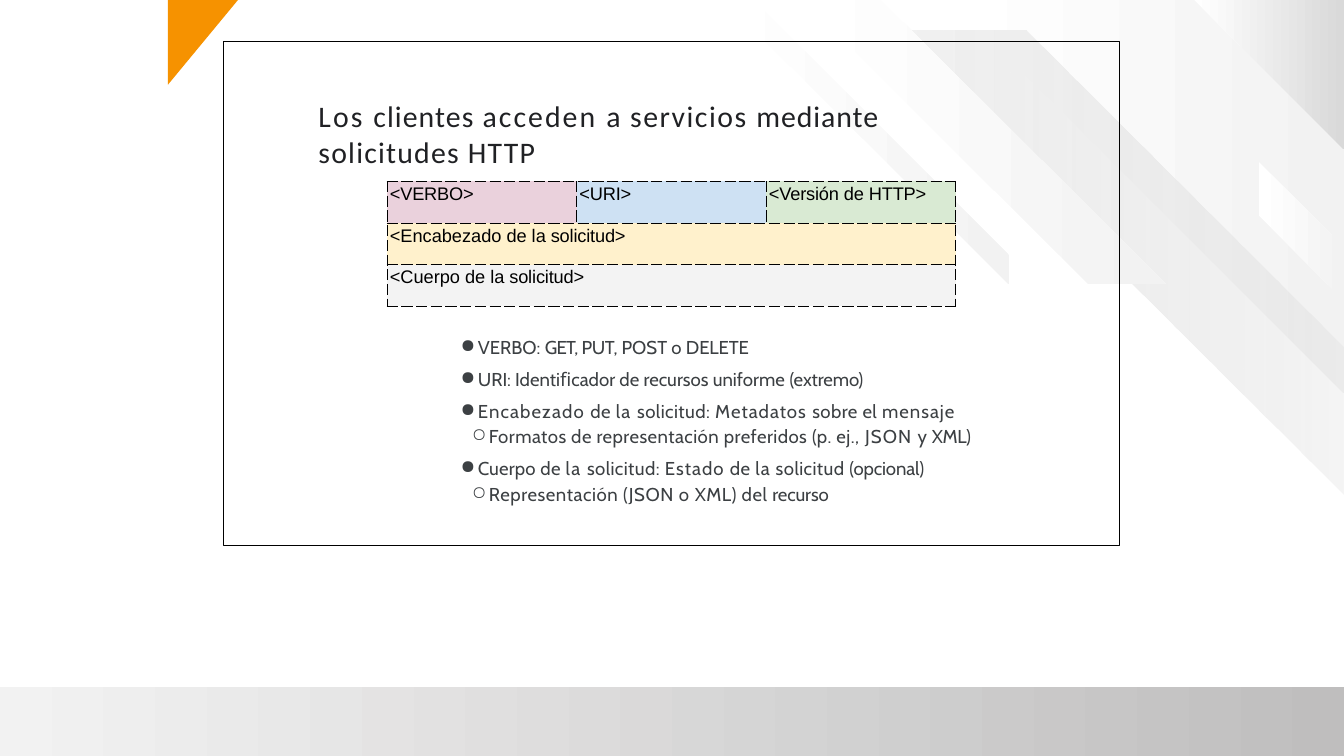
from lxml import etree
from pptx import Presentation
from pptx.dml.color import RGBColor
from pptx.enum.shapes import MSO_SHAPE
from pptx.oxml.ns import qn
from pptx.util import Pt

RECT = MSO_SHAPE.RECTANGLE
CORNER = MSO_SHAPE.RIGHT_TRIANGLE

# Content: each text is a list of (words, letter spacing)
TITLE = [("Los ", 1.5), ("clientes ", 0.8), ("acceden ", 1.5), ("a ", 1),
         ("servicios ", 1.1), ("mediante ", 0.7), ("solicitudes HTTP", 0.9)]

# Bullets: (level, space before, text)
POINTS = [
    (0, 8.1, [("VERBO: ", 0), ("GET, ", -0.6), ("PUT, ", -0.3),
              ("POST o ", 0), ("DELETE", -0.1)]),
    (0, 6.8, [("URI: Identiﬁcador de recursos uniforme ", 0),
              ("(extremo)", -0.1)]),
    (0, 7, [("Encabezado ", 0.8), ("de ", 0.3), ("la ", 0.9),
            ("solicitud: ", 0.3), ("Metadatos ", 0.7), ("sobre el ", 0.3),
            ("mensaje", 0.7)]),
    (1, 2.5, [("Formatos de representación preferidos (p. ej., ", 0.3),
              ("JSON ", 0.7), ("y ", 0.3), ("XML)", -0.3)]),
    (0, 6.8, [("Cuerpo ", 0.1), ("de ", 0.3), ("la ", 0.9),
              ("solicitud: ", 0.3), ("Estado ", 0.7), ("de ", 0.3),
              ("la", 0.9), (" solicitud ", 0.3), ("(opcional)", -0.1)]),
    (1, 2.5, [("Representación (JSON o ", 0.4), ("XML) ", 0.3),
              ("del ", 0.4), ("recurso", -0.1)]),
]

# Request parts: rows of (fill, text); a lone cell spans its row
PARTS = [
    [("EAD1DC", [("<VERBO>", -0.1)]),
     ("CEE1F3", [("<URI>", -0.1)]),
     ("D9EAD3", [("<Versión ", -0.1), ("de", 0), (" HTTP>", -0.1)])],
    [("FFF1CC", [("<Encabezado de la ", 0), ("solicitud>", -0.1)])],
    [("F3F3F3", [("<Cuerpo de la ", 0), ("solicitud>", -0.1)])],
]

THEME = {
    "title": ("Calibri", 21.3, "202124"),
    "body": ("Cabin", 13.3, "3C4043"),
    "cell": ("Arial", 13, "000000"),
    "line": "000000",
    "accent": "F69200",
    "band": ("BFBEBE", "F2F2F2"),
    "pale": ("FFFFFF", "F2F2F2"),
    "veil": ("F2F2F2", "D9D9D9"),
    "deep": ("FFFFFF", "D9D9D9"),
}

# Layout, in points
WIDE, HIGH = 960, 540
BAND = 49
FRAME = (160, 30, 640, 360)
GRID = (276.5, 129.6)
COL, ROW = 135.4, 29.75
MARKS = [("●", 13.7), ("○", 21.6)]
HANG = 12.2

# Ribbons: (colours, opacity of the end colour, corners)
RIBBONS = [
    ("pale", 100, [(WIDE, 0), (679, 0), (WIDE, 281)]),
    ("veil", 26, [(WIDE, 247.7), (733.7, 21.6), (627.1, 21.6), (WIDE, 353.5)]),
    ("pale", 100, [(WIDE, 176.4), (899.3, 115.9), (899.3, 154.1), (WIDE, 214.6)]),
    ("pale", 100, [(833, 203), (629.3, 0), (573.8, 0), (777.6, 203)]),
    ("deep", 100, [(WIDE, 0), (853.2, 0), (WIDE, 106.6)]),
    ("pale", 100, [(538.6, 0), (720.7, 182.2), (720.7, 203), (517, 0)]),
]


def rgb(code):
    return RGBColor.from_string(code)


def points(*nums):
    return [Pt(num) for num in nums]


def write(para, text, style):
    font, size, tint = THEME[style]
    for words, gap in text:
        run = para.add_run()
        run.text = words
        run.font.name, run.font.size = font, Pt(size)
        run.font.color.rgb = rgb(tint)
        run.font._element.set("spc", str(round(gap * 100)))


def indent(para, left, first=0):
    props = para._p.get_or_add_pPr()
    props.set("marL", str(Pt(left)))
    props.set("indent", str(Pt(first)))
    return props


def shade(shape, name, angle, opaque=100):
    shape.shadow.inherit = False
    shape.line.fill.background()
    shape.fill.gradient()
    shape.fill.gradient_angle = angle
    stops = shape.fill.gradient_stops
    for stop, code, place in zip(stops, THEME[name], (0, 1)):
        stop.color.rgb = rgb(code)
        stop.position = place
    if opaque < 100:
        tint = list(shape._element.spPr.iter(qn("a:srgbClr")))[-1]
        etree.SubElement(tint, qn("a:alpha")).set("val", str(opaque * 1000))


def textbox(slide, box, top):
    frame = slide.shapes.add_textbox(*points(*box)).text_frame
    frame.word_wrap = True
    frame.margin_left = frame.margin_right = frame.margin_bottom = 0
    frame.margin_top = Pt(top)
    return frame


def border(cell):
    props = cell._tc.get_or_add_tcPr()
    for side in "LRTB":
        line = etree.SubElement(props, qn("a:ln" + side), w=str(Pt(0.75)))
        fill = etree.SubElement(line, qn("a:solidFill"))
        etree.SubElement(fill, qn("a:srgbClr"), val=THEME["line"])
        etree.SubElement(line, qn("a:prstDash"), val="lgDash")


def backdrop(slide):
    band = slide.shapes.add_shape(RECT, *points(0, HIGH - BAND, WIDE, BAND))
    shade(band, "band", 180)
    for name, opaque, spots in RIBBONS:
        start, *rest = [points(*spot) for spot in spots]
        path = slide.shapes.build_freeform(*start)
        path.add_line_segments(rest, close=True)
        shade(path.convert_to_shape(), name, 0, opaque)


def wording(slide):
    para = textbox(slide, (226.1, 68.4, 404.6, 53.3), 1.4).paragraphs[0]
    indent(para, 1.4)
    para.space_before = Pt(1.3)
    write(para, TITLE, "title")

    frame = textbox(slide, (327.6, 231.8, 373, 132.5), 7.9)
    for num, (level, gap, text) in enumerate(POINTS):
        para = frame.add_paragraph() if num else frame.paragraphs[0]
        para.level = level
        para.space_before = Pt(gap)
        mark, left = MARKS[level]
        props = indent(para, left, -HANG)
        etree.SubElement(props, qn("a:buChar"), char=mark)
        write(para, text, "body")


def request(slide):
    cols = len(PARTS[0])
    size = (COL * cols, ROW * len(PARTS))
    table = slide.shapes.add_table(len(PARTS), cols, *points(*GRID, *size)).table
    table.first_row = table.horz_banding = False
    for num, parts in enumerate(PARTS):
        table.rows[num].height = Pt(ROW)
        for col in range(cols):
            table.columns[col].width = Pt(COL)
            cell = table.cell(num, col)
            border(cell)
            cell.fill.solid()
            cell.fill.fore_color.rgb = rgb(parts[min(col, len(parts) - 1)][0])
            cell.margin_left = cell.margin_right = cell.margin_bottom = 0
            cell.margin_top = Pt(2)
        if len(parts) == 1:
            table.cell(num, 0).merge(table.cell(num, cols - 1))
        for col, (_, text) in enumerate(parts):
            para = table.cell(num, col).text_frame.paragraphs[0]
            indent(para, 2)
            para.space_before = Pt(1.9)
            write(para, text, "cell")


def outline(slide):
    frame = slide.shapes.add_shape(RECT, *points(*FRAME))
    frame.shadow.inherit = False
    frame.fill.background()
    frame.line.color.rgb = rgb(THEME["line"])
    frame.line.width = Pt(0.75)

    flag = slide.shapes.add_shape(CORNER, *points(114.7, 5.3, 60.5, 50))
    flag.rotation = 90
    flag.shadow.inherit = False
    flag.fill.solid()
    flag.fill.fore_color.rgb = rgb(THEME["accent"])
    flag.line.fill.background()


def main():
    deck = Presentation()
    deck.slide_width, deck.slide_height = points(WIDE, HIGH)
    slide = deck.slides.add_slide(deck.slide_layouts[6])
    for draw in (backdrop, wording, request, outline):
        draw(slide)
    deck.save("out.pptx")


if __name__ == "__main__":
    main()
